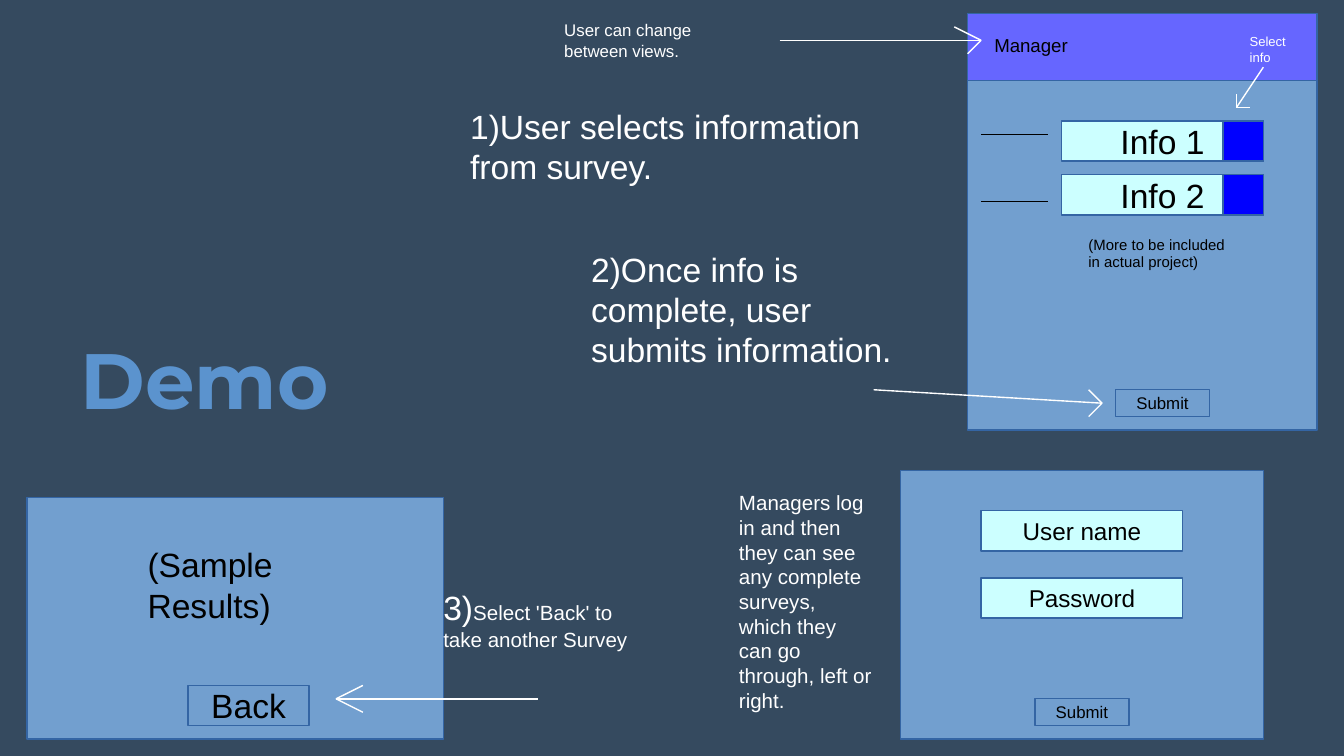
"""Build the Demo slide with annotated mock-ups of the survey screens."""
import pptx
import pptx.dml.color
import pptx.enum.shapes
import pptx.enum.text
import pptx.oxml
import pptx.oxml.ns
import pptx.util

Pt = pptx.util.Pt
RGBColor = pptx.dml.color.RGBColor
PP_ALIGN = pptx.enum.text.PP_ALIGN
MSO_ANCHOR = pptx.enum.text.MSO_ANCHOR

SLATE = RGBColor(0x35, 0x4A, 0x5F)
TITLE_BLUE = RGBColor(0x5B, 0x93, 0xCE)
PANEL = RGBColor(0x72, 0x9F, 0xCF)
OUTLINE = RGBColor(0x34, 0x65, 0xA4)
FIELD = RGBColor(0xCC, 0xFF, 0xFF)
HEADER = RGBColor(0x66, 0x66, 0xFF)
CHECK = RGBColor(0x00, 0x00, 0xFF)
BLACK = RGBColor(0x00, 0x00, 0x00)
WHITE = RGBColor(0xFF, 0xFF, 0xFF)


def add_box(x, y, w, h, fill, text="", size=18):
    sp = s.shapes.add_shape(pptx.enum.shapes.MSO_SHAPE.RECTANGLE, Pt(x), Pt(y), Pt(w), Pt(h))
    sp.shadow.inherit = False
    sp.fill.solid()
    sp.fill.fore_color.rgb = fill
    sp.line.color.rgb = OUTLINE
    sp.line.width = Pt(0.75)
    if text:
        tf = sp.text_frame
        tf.text = text
        tf.word_wrap = False
        tf.vertical_anchor = MSO_ANCHOR.MIDDLE
        p = tf.paragraphs[0]
        p.alignment = PP_ALIGN.CENTER
        f = p.runs[0].font
        f.name, f.size, f.color.rgb = "Arial", Pt(size), BLACK


def add_label(x, y, w, h, color, *parts):
    tf = s.shapes.add_textbox(Pt(x), Pt(y), Pt(w), Pt(h)).text_frame
    tf.word_wrap = True
    for text, size in parts:
        r = tf.paragraphs[0].add_run()
        r.text = text
        r.font.name, r.font.size, r.font.color.rgb = "Arial", Pt(size), color


prs = pptx.Presentation()
prs.slide_width, prs.slide_height = Pt(720), Pt(405)
s = prs.slides.add_slide(prs.slide_layouts[5])
s.background.fill.solid()
s.background.fill.fore_color.rgb = SLATE

title = s.shapes.title
title.left, title.top, title.width, title.height = Pt(36), Pt(162.7), Pt(647.3), Pt(79.9)
tf = title.text_frame
tf.text = "Demo"
tf.auto_size = pptx.enum.text.MSO_AUTO_SIZE.NONE
tf.vertical_anchor = MSO_ANCHOR.MIDDLE
tf.margin_left = tf.margin_top = tf.margin_right = tf.margin_bottom = Pt(7.2)
p = tf.paragraphs[0]
p.alignment = PP_ALIGN.LEFT
f = p.runs[0].font
f.name, f.size, f.bold, f.color.rgb = "Montserrat", Pt(42), True, TITLE_BLUE

add_box(518.4, 43.2, 187.2, 187.2, PANEL)
add_box(518.4, 7.2, 187.2, 36, HEADER)
for y, text in ((64.8, "Info 1"), (93.6, "Info 2")):
    add_box(568.8, y, 108, 21.6, FIELD, text)
    add_box(655.2, y, 21.6, 21.6, CHECK)
add_box(597.6, 208.8, 50.4, 14.4, PANEL, "Submit", 9)

add_box(14.4, 266.4, 223.2, 129.6, PANEL)
add_box(100.8, 367.2, 64.8, 21.6, PANEL, "Back")

add_box(482.4, 252, 194.4, 144, PANEL)
for y, text in ((273.6, "User name"), (309.6, "Password")):
    add_box(525.6, y, 108, 21.6, FIELD, text, 13)
add_box(554.4, 374.4, 50.4, 14.4, PANEL, "Submit", 9)

add_label(525.6, 14.4, 79.2, 18, BLACK, ("Manager", 10))
add_label(576, 122.4, 93.6, 25.2, BLACK, ("(More to be included in actual project)", 8))
add_label(72, 288, 108, 47.5, BLACK, ("(Sample Results)", 18))
add_label(244.8, 53.3, 252, 47.5, WHITE, ("1)User selects information from survey.", 18))
add_label(309.6, 129.6, 194.4, 67.7, WHITE, ("2)Once info is complete, user submits information.", 18))
add_label(230.4, 311, 115.2, 39.6, WHITE, ("3)", 18), ("Select 'Back' to take another Survey", 11))
add_label(662.4, 14.4, 36, 32.4, WHITE, ("Select info", 7))
add_label(295.2, 7.2, 115.2, 27.4, WHITE, ("User can change between views.", 9))
add_label(388.8, 259.2, 86.4, 105.1, WHITE,
          ("Managers log in and then they can see any complete surveys, "
           "which they can go through, left or right.", 11))

lines = [(525.6, y, 561.6, y, BLACK) for y in (72, 108)]
arrows = [
    ((590.4, 216), (468, 208.8), (583.2, 208.8), (583.2, 223.2)),
    ((662.4, 57.6), (676.8, 36), (662.4, 50.4), (669.6, 57.6)),
    ((180, 374.4), (288, 374.4), (194.4, 367.2), (194.4, 381.6)),
    ((525.6, 21.6), (417.6, 21.6), (511.2, 14.4), (518.4, 28.8)),
]
for tip, tail, *barbs in arrows:
    lines.append((*tail, *tip, WHITE))
    lines += [(*tip, *barb, WHITE) for barb in barbs]
for x1, y1, x2, y2, color in lines:
    c = s.shapes.add_connector(pptx.enum.shapes.MSO_CONNECTOR.STRAIGHT, Pt(x1), Pt(y1), Pt(x2), Pt(y2))
    c.line.color.rgb = color
    c.line.width = Pt(0.75)
    sp_pr = c._element.spPr
    sp_pr.append(pptx.oxml.parse_xml("<a:effectLst %s/>" % pptx.oxml.ns.nsdecls("a")))

prs.save("out.pptx")
